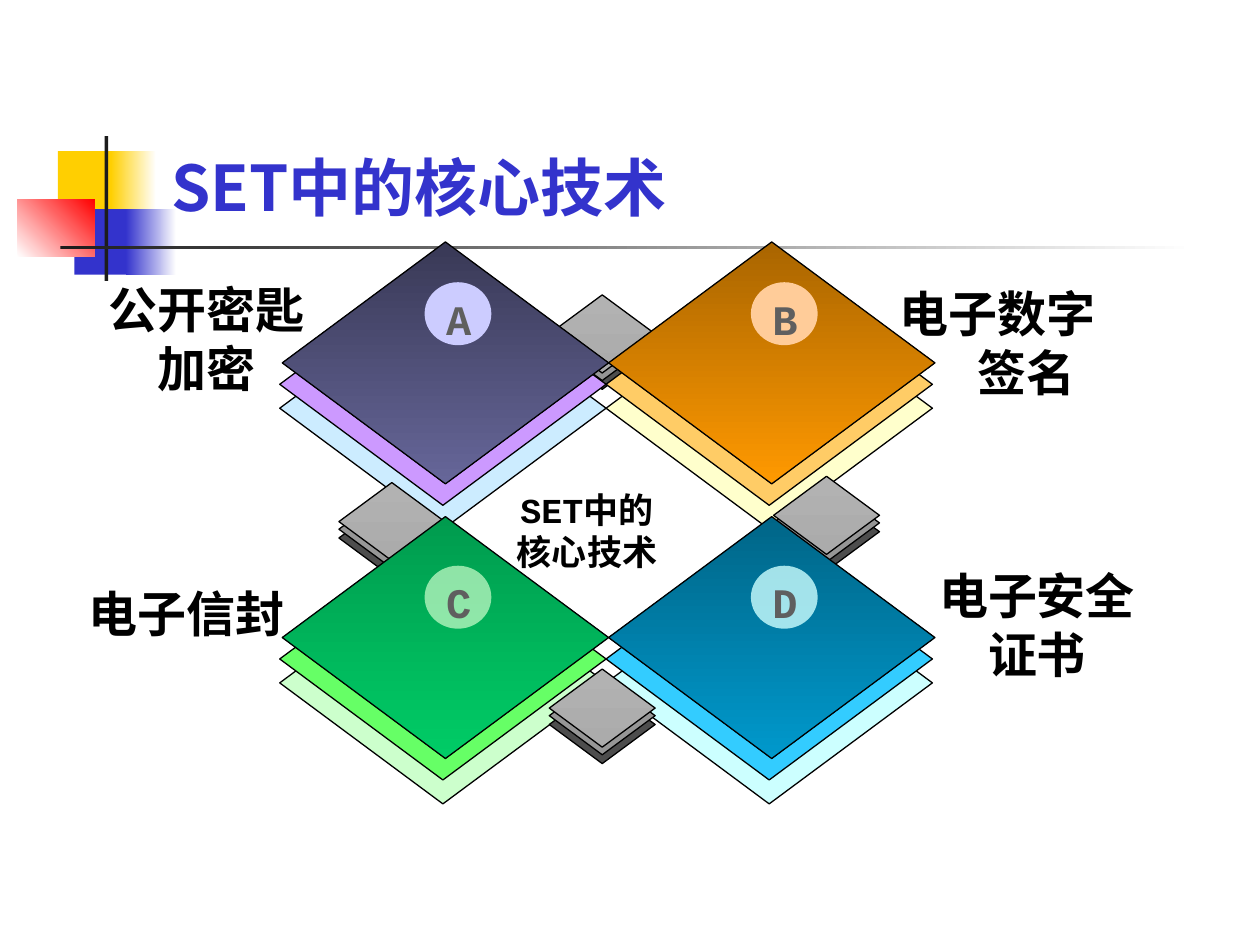
from lxml import etree
from pptx import Presentation
from pptx.dml.color import RGBColor
from pptx.enum import shapes, text
from pptx.oxml import ns
from pptx.util import Inches, Pt

BLACK = RGBColor(0x00, 0x00, 0x00)
WHITE = RGBColor(0xFF, 0xFF, 0xFF)
INK = RGBColor(0x1C, 0x1C, 0x1C)
YELLOW = RGBColor(0xFF, 0xCF, 0x01)
BLUE = RGBColor(0x33, 0x33, 0xCC)
RED = RGBColor(0xFF, 0x00, 0x00)
LETTER_GREY = RGBColor(0x5F, 0x5F, 0x5F)
TILE_BASE = RGBColor(0x4D, 0x4D, 0x4D)
TILE_MIDDLE = RGBColor(0x96, 0x96, 0x96)
TILE_TOP = RGBColor(0xB2, 0xB2, 0xB2)
TILE_SHADE = RGBColor(0xAB, 0xAB, 0xAB)

# Each stack: bottom layer, middle layer, face gradient (top, bottom), badge
ORANGES = (RGBColor(0xFF, 0xFF, 0xCC), RGBColor(0xFF, 0xCC, 0x66),
           (RGBColor(0xA9, 0x65, 0x00), RGBColor(0xFF, 0x99, 0x00)),
           RGBColor(0xFF, 0xCC, 0x99))
PURPLES = (RGBColor(0xCC, 0xEC, 0xFF), RGBColor(0xCC, 0x99, 0xFF),
           (RGBColor(0x39, 0x39, 0x56), RGBColor(0x66, 0x66, 0x99)),
           RGBColor(0xCC, 0xCC, 0xFF))
AQUAS = (RGBColor(0xCC, 0xFF, 0xFF), RGBColor(0x33, 0xCC, 0xFF),
         (RGBColor(0x00, 0x65, 0x87), RGBColor(0x00, 0x99, 0xCC)),
         RGBColor(0xCC, 0xFF, 0xFF))
GREENS = (RGBColor(0xCC, 0xFF, 0xCC), RGBColor(0x66, 0xFF, 0x66),
          (RGBColor(0x00, 0x9B, 0x4E), RGBColor(0x00, 0xCC, 0x66)),
          RGBColor(0xCC, 0xFF, 0xCC))

CJK_FONT = "Noto Sans CJK SC"
LABEL_FONT = "Courier New"
LEFT_X, RIGHT_X = 2.24, 4.83
TOP_Y, BOTTOM_Y = 1.92, 4.1


def add_figure(slide, kind, left, top, width, height, fill, angle=0, outlined=False):
    """Add a preset shape; a pair of colours as fill makes a gradient."""
    figure = slide.shapes.add_shape(
        kind, Inches(left), Inches(top), Inches(width), Inches(height))
    figure.shadow.inherit = False
    if isinstance(fill, RGBColor):
        figure.fill.solid()
        figure.fill.fore_color.rgb = fill
    else:
        figure.fill.gradient()
        figure.fill.gradient_angle = angle
        for stop, color in zip(figure.fill.gradient_stops, fill):
            stop.color.rgb = color
    if outlined:
        figure.line.color.rgb = BLACK
        figure.line.width = Pt(0.75)
    else:
        figure.line.fill.background()
    return figure


def set_opacity(figure, percent):
    color = figure.element.spPr.find(ns.qn("a:solidFill"))[0]
    etree.SubElement(color, ns.qn("a:alpha"), val=str(percent * 1000))


def style_paragraph(paragraph, font_name, size, color, align):
    paragraph.alignment = align
    font = paragraph.font
    font.name, font.size, font.bold = font_name, Pt(size), True
    font.color.rgb = color
    # East Asian typeface follows the Latin one
    latin = paragraph._p.pPr.find(ns.qn("a:defRPr")).find(ns.qn("a:latin"))
    latin.addnext(latin.makeelement(ns.qn("a:ea"), {"typeface": CJK_FONT}))


def add_label(slide, left, top, width, height, lines, size, color=BLACK,
              wrap=True, first_align=text.PP_ALIGN.CENTER):
    box = slide.shapes.add_textbox(
        Inches(left), Inches(top), Inches(width), Inches(height))
    frame = box.text_frame
    frame.word_wrap = wrap
    frame.auto_size = text.MSO_AUTO_SIZE.SHAPE_TO_FIT_TEXT
    frame.text = "\n".join(lines)
    for paragraph in frame.paragraphs:
        style_paragraph(paragraph, LABEL_FONT, size, color, text.PP_ALIGN.CENTER)
    frame.paragraphs[0].alignment = first_align


def add_diamond(slide, left, top, width, height, fill):
    add_figure(slide, shapes.MSO_SHAPE.DIAMOND, left, top, width, height, fill,
               angle=270, outlined=True)


def add_grey_tile(slide, left, top):
    """Small three-layer tile between two stacks."""
    layers = ((0.13, TILE_BASE), (0.06, TILE_MIDDLE), (0, (TILE_TOP, TILE_SHADE)))
    for drop, fill in layers:
        add_diamond(slide, left, top + drop, 0.84, 0.62, fill)


def add_stack(slide, left, top, colors, letter, badge_drop, opacity=100):
    """Large three-layer diamond with a lettered round badge."""
    bottom, middle, face, badge_color = colors
    for shift, drop, fill in ((-0.02, 0.36, bottom), (-0.02, 0.17, middle), (0, 0, face)):
        add_diamond(slide, left + shift, top + drop, 2.59, 1.92, fill)
    badge_x, badge_y = left + 1.13, top + badge_drop
    badge = add_figure(slide, shapes.MSO_SHAPE.OVAL, badge_x, badge_y, 0.53, 0.5, badge_color)
    if opacity < 100:
        set_opacity(badge, opacity)
    add_label(slide, badge_x + 0.07, badge_y + 0.04, 0.4, 0.5, [letter], 24,
              LETTER_GREY, wrap=False)


def add_title_ornament(slide):
    blocks = (
        (0.46, 1.2, 0.48, 0.52, YELLOW, 0),
        (0.88, 1.2, 0.36, 0.52, (YELLOW, WHITE), 0),
        (0.59, 1.66, 0.46, 0.52, BLUE, 0),
        (1, 1.66, 0.4, 0.52, (BLUE, WHITE), 0),
        (0.14, 1.58, 0.61, 0.46, (WHITE, RED), 45),
        (0.83, 1.08, 0.03, 1.15, INK, 0),
        (0.48, 1.95, 9, 0.03, (INK, WHITE), 0),
    )
    for *box, fill, angle in blocks:
        add_figure(slide, shapes.MSO_SHAPE.RECTANGLE, *box, fill, angle)


def set_title(slide, wording):
    title = slide.shapes.title
    title.left, title.top = Inches(1.26), Inches(0.23)
    title.width, title.height = Inches(8.52), Inches(1.6)
    frame = title.text_frame
    frame.text = wording
    frame.vertical_anchor = text.MSO_ANCHOR.BOTTOM
    frame.auto_size = text.MSO_AUTO_SIZE.NONE
    style_paragraph(frame.paragraphs[0], CJK_FONT, 36, BLUE, text.PP_ALIGN.LEFT)
    # Bring the title in front of the ornament
    title.element.getparent().append(title.element)


def main():
    deck = Presentation()
    deck.slide_width, deck.slide_height = Inches(10), Inches(7.5)
    slide = deck.slides.add_slide(deck.slide_layouts[5])

    # Heading
    add_title_ornament(slide)
    set_title(slide, "SET中的核心技术")

    # Diamonds, from back to front
    add_grey_tile(slide, 4.36, 2.34)
    add_stack(slide, RIGHT_X, TOP_Y, ORANGES, "B", 0.32)
    add_stack(slide, LEFT_X, TOP_Y, PURPLES, "A", 0.32)
    add_grey_tile(slide, 6.14, 3.78)
    add_stack(slide, RIGHT_X, BOTTOM_Y, AQUAS, "D", 0.39, opacity=80)
    add_grey_tile(slide, 2.69, 3.83)
    add_stack(slide, LEFT_X, BOTTOM_Y, GREENS, "C", 0.39, opacity=70)
    add_grey_tile(slide, 4.36, 5.31)

    # Centre caption, wide enough to keep each line whole
    add_label(slide, 3.86, 3.83, 1.6, 0.77, ["SET中的", "核心技术"], 20)

    # Names of the four technologies
    add_label(slide, 7.04, 2.2, 2.22, 1.04, ["电子数字", "签名"], 28,
              first_align=text.PP_ALIGN.LEFT)
    add_label(slide, 7.12, 4.44, 2.22, 1.04, ["电子安全", "证书"], 28)
    add_label(slide, 0.58, 2.17, 2.12, 1.04, ["公开密匙加密"], 28)
    add_label(slide, 0.42, 4.58, 2.12, 0.57, ["电子信封"], 28)

    deck.save("out.pptx")


if __name__ == "__main__":
    main()
